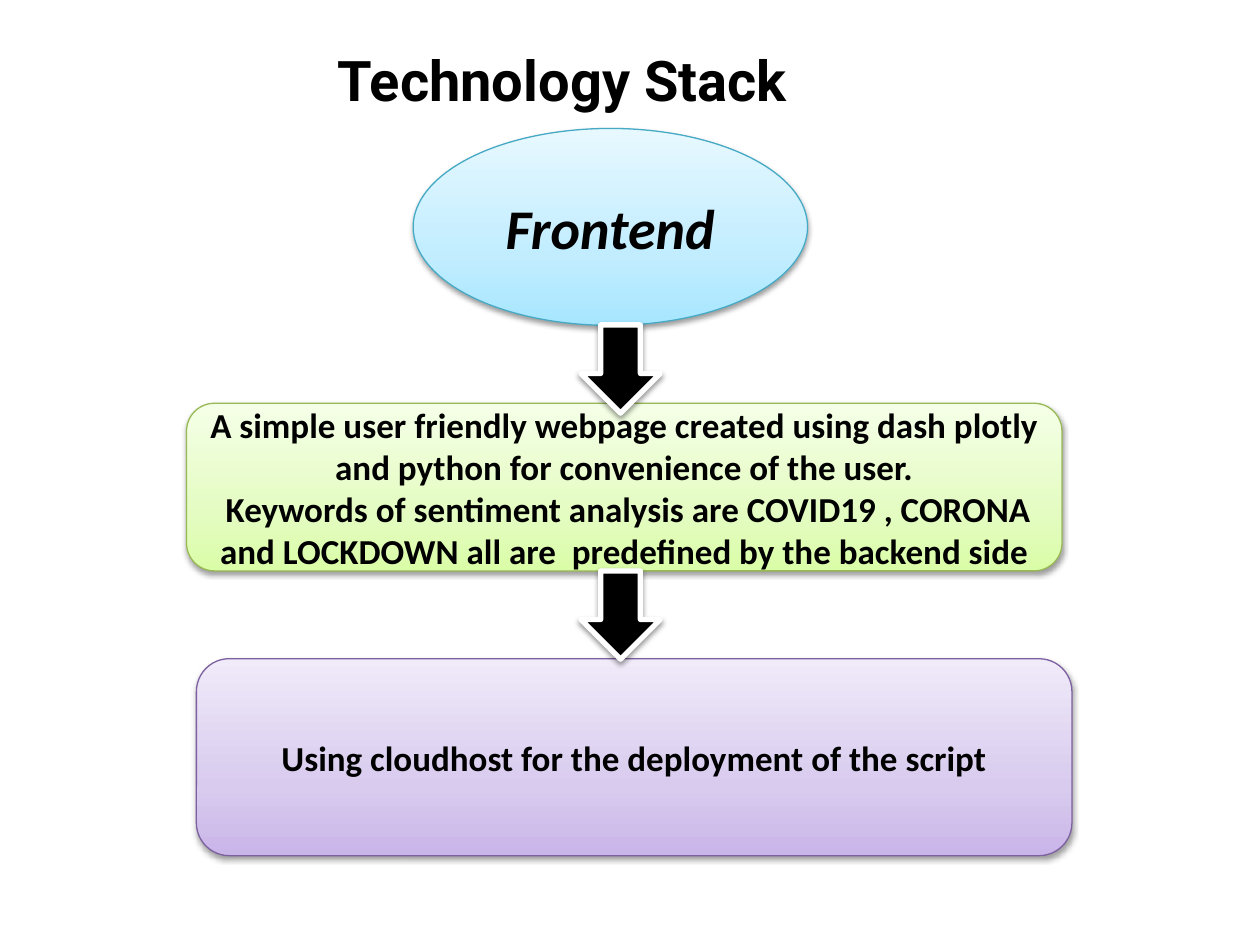
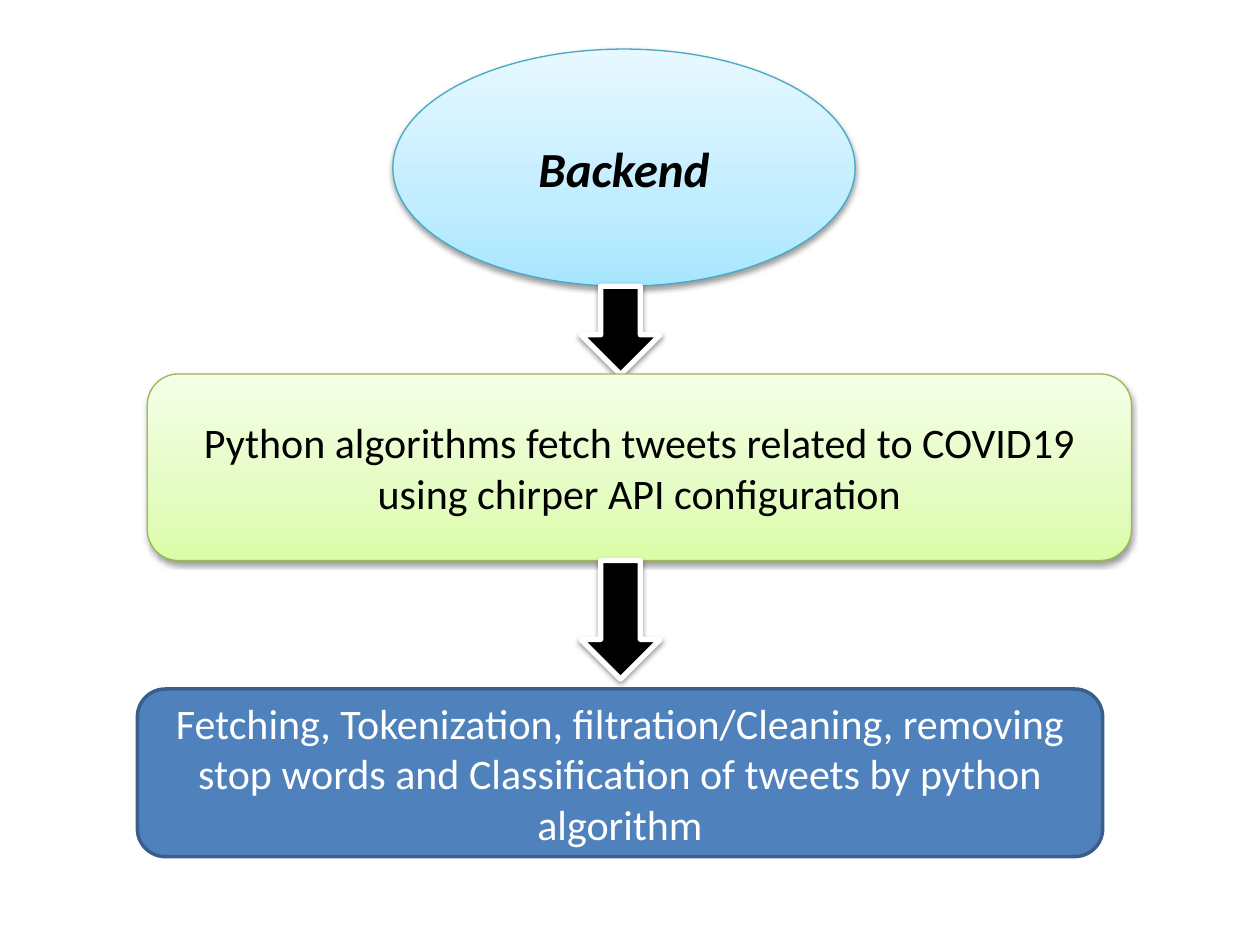
from lxml.etree import SubElement
from pptx import Presentation
from pptx.dml.color import RGBColor
from pptx.enum.shapes import MSO_SHAPE
from pptx.enum.text import MSO_ANCHOR, MSO_AUTO_SIZE, PP_ALIGN
from pptx.oxml.ns import qn
from pptx.util import Cm, Pt

OVAL, BOX, ARROW = MSO_SHAPE.OVAL, MSO_SHAPE.ROUNDED_RECTANGLE, MSO_SHAPE.DOWN_ARROW

# Look: fill stops from bottom to top (one stop is a plain fill), line, line width, text
LOOKS = {
    "sky": (["A7E6FF", "C1EDFF", "E7F8FF"], "46AAC5", 0.75, "000000"),
    "lime": (["DAFDA7", "E4FCC2", "F5FFE7"], "98B955", 0.75, "000000"),
    "lilac": (["C9B5E8", "D8CBEE", "F0EAF9"], "7D60A0", 0.75, "000000"),
    "black": (["000000"], "FFFFFF", 3, "FFFFFF"),
    "blue": (["4F81BD"], "3A5F8C", 2, "FFFFFF"),
}
STOPS = [0, 35000, 100000]


def color(code):
    return RGBColor.from_string(code)


def add_step(slide, kind, look, place, lines=(), size=24, bold=False):
    """Add one part of a flow; place is left, top, width and height in cm."""
    stops, edge, width, ink = LOOKS[look]
    step = slide.shapes.add_shape(kind, *[Cm(n) for n in place])
    if len(stops) == 1:
        step.fill.solid()
        step.fill.fore_color.rgb = color(stops[0])
    else:
        step.fill.gradient()
        step.fill.gradient_angle = 90
        grades = step.element.spPr.find(".//" + qn("a:gsLst"))
        for old in list(grades):
            grades.remove(old)
        for spot, code in zip(STOPS, stops):
            grade = SubElement(grades, qn("a:gs"), pos=str(spot))
            SubElement(grade, qn("a:srgbClr"), val=code)
    step.line.color.rgb = color(edge)
    step.line.width = Pt(width)

    step.shadow.inherit = False
    if look != "blue":
        effects = step.element.spPr.find(qn("a:effectLst"))
        shade = SubElement(effects, qn("a:outerShdw"), blurRad="40000",
                           dist="20000", dir="5400000", rotWithShape="0")
        black = SubElement(shade, qn("a:srgbClr"), val="000000")
        SubElement(black, qn("a:alpha"), val="38000")

    frame = step.text_frame
    frame.word_wrap = True
    frame.vertical_anchor = MSO_ANCHOR.MIDDLE
    for i, line in enumerate(lines):
        para = frame.paragraphs[0] if i == 0 else frame.add_paragraph()
        para.text = line
        para.alignment = PP_ALIGN.CENTER
        para.font.name = "Calibri"
        para.font.size = Pt(size)
        para.font.bold = bold
        para.font.italic = kind == OVAL
        para.font.color.rgb = color(ink)


deck = Presentation()
deck.slide_width, deck.slide_height = Cm(25.4), Cm(19.05)

# Frontend
front = deck.slides.add_slide(deck.slide_layouts[5])
title = front.shapes.title
title.left, title.top, title.width, title.height = Cm(6.55), Cm(0.79), Cm(11.38), Cm(1.63)
title.text = "Technology Stack"
title.text_frame.word_wrap = False
title.text_frame.auto_size = MSO_AUTO_SIZE.NONE
title.text_frame.vertical_anchor = MSO_ANCHOR.TOP
head = title.text_frame.paragraphs[0]
head.alignment = PP_ALIGN.LEFT
head.font.name = "Roboto"
head.font.size = Pt(32)
head.font.bold = True
head.font.color.rgb = color("000000")

add_step(front, OVAL, "sky", (8.33, 2.59, 7.95, 3.97), ["Frontend"], 32, True)
add_step(front, BOX, "lime", (3.76, 8.13, 17.65, 3.38), [
    "A simple user friendly webpage created using dash plotly and python "
    "for convenience of the user.",
    " Keywords of sentiment analysis are COVID19 , CORONA and LOCKDOWN all are  "
    "predefined by the backend side",
], 20, True)
add_step(front, BOX, "lilac", (3.96, 13.28, 17.65, 3.97),
         ["Using cloudhost for the deployment of the script"], 20, True)
for top in (11.51, 6.55):
    add_step(front, ARROW, "black", (11.71, top, 1.6, 1.78))

# Backend
back = deck.slides.add_slide(deck.slide_layouts[6])
add_step(back, OVAL, "sky", (7.92, 0.99, 9.32, 4.78), ["Backend"], 28, True)
add_step(back, ARROW, "black", (11.71, 5.77, 1.6, 1.78))
add_step(back, BOX, "lime", (2.97, 7.54, 19.84, 3.76), [
    "Python algorithms fetch tweets related to COVID19 using chirper API configuration"])
add_step(back, ARROW, "black", (11.71, 11.3, 1.6, 2.39))
add_step(back, BOX, "blue", (2.77, 13.89, 19.46, 3.38), [
    "Fetching, Tokenization, filtration/Cleaning, removing stop words and "
    "Classification of tweets by python algorithm"])

deck.save("out.pptx")
